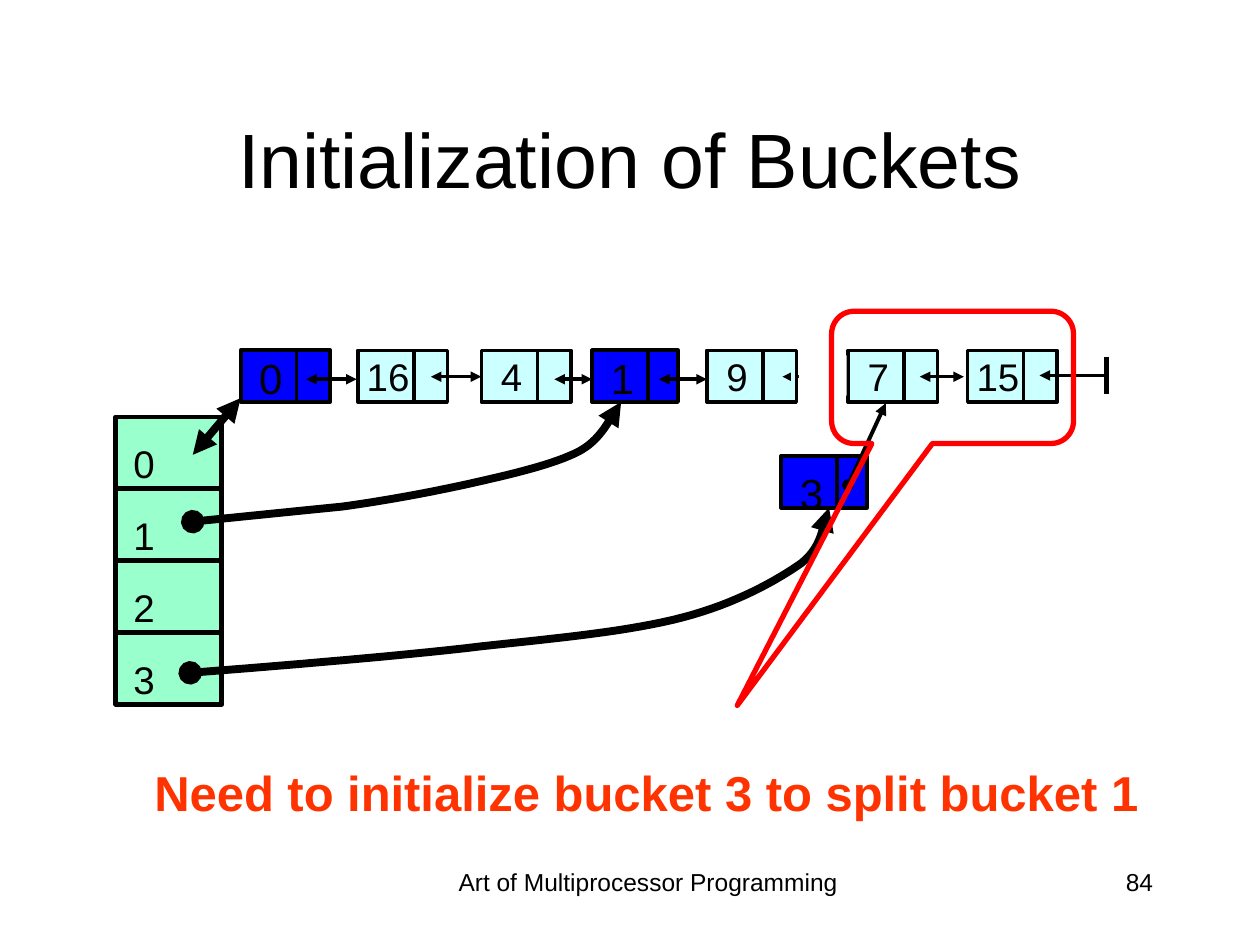
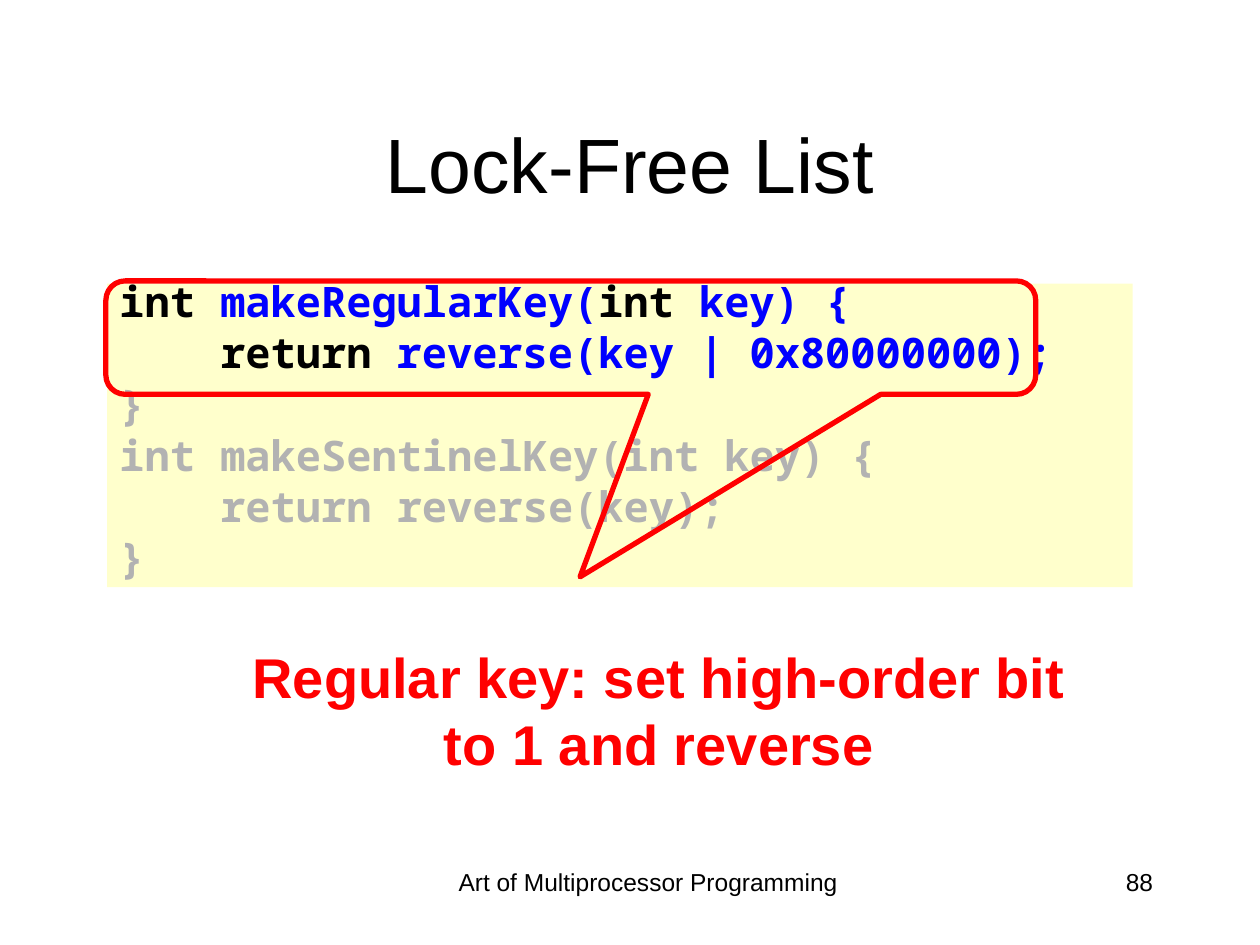
from collections import namedtuple
from dataclasses import dataclass

from lxml import etree
from pptx import Presentation
from pptx import util as u
from pptx.dml.color import RGBColor
from pptx.enum import shapes, text
from pptx.oxml.ns import qn


@dataclass(frozen=True)
class Theme:
    """Colours, fonts and type sizes shared by the slides."""
    black: str = "000000"
    white: str = "FFFFFF"
    bucket: str = "99FFCC"
    item: str = "CCFFFF"
    blue: str = "0000FF"
    red: str = "FF0000"
    orange: str = "FF3300"
    code_bg: str = "FFFFCC"
    faded: str = "B2B2B2"
    body: str = "Arial"
    mono: str = "Noto Sans Mono"
    title: int = 44
    caption: int = 32
    caption_small: int = 28
    code: int = 24
    sentinel: int = 24
    key: int = 22
    footer: int = 14


T = Theme()
COLS, ROWS = 100, 75
SLIDE_W, SLIDE_H = u.Inches(10), u.Inches(7.5)
CENTER, LEFT, RIGHT = text.PP_ALIGN.CENTER, text.PP_ALIGN.LEFT, text.PP_ALIGN.RIGHT
RECT = shapes.MSO_SHAPE.RECTANGLE
ROUND = shapes.MSO_SHAPE.ROUNDED_RECTANGLE
CALLOUT = shapes.MSO_SHAPE.ROUNDED_RECTANGULAR_CALLOUT


class Box(namedtuple("Box", "x y w h")):
    """A region in grid columns and rows."""

    def inner(self, dx, dy, w, h):
        """Return a box offset from this one's corner."""
        return Box(self.x + dx, self.y + dy, w, h)

    def point(self, dx, dy):
        """Return a grid point offset from this box's corner."""
        return self.x + dx, self.y + dy


def emu(x, y):
    """Convert grid columns and rows to slide lengths."""
    return u.Emu(round(x * SLIDE_W / COLS)), u.Emu(round(y * SLIDE_H / ROWS))


def place(box):
    """Return left, top, width and height of a box."""
    return *emu(box.x, box.y), *emu(box.w, box.h)


def style(p, size, color=T.black, bold=False, font=T.body):
    """Format every run of a paragraph."""
    for r in p.runs:
        r.font.size, r.font.name, r.font.bold = u.Pt(size), font, bold
        r.font.color.rgb = RGBColor.from_string(color)


def add_text(s, box, words, size, align=CENTER, color=T.black, bold=False,
             wrap=True, inset=0.1, spacing=1.0):
    """Add a text box holding one paragraph."""
    tf = s.shapes.add_textbox(*place(box)).text_frame
    tf.word_wrap = wrap
    tf.margin_left = tf.margin_right = u.Inches(inset)
    tf.margin_top = tf.margin_bottom = u.Inches(inset / 2)
    p = tf.paragraphs[0]
    p.text, p.alignment, p.line_spacing = words, align, spacing
    style(p, size, color, bold)


def stroke(sp, width, color=T.black):
    """Set the line of a shape or connector."""
    sp.line.width = u.Pt(width)
    sp.line.color.rgb = RGBColor.from_string(color)


def add_shape(s, box, kind, fill=None, width=None, color=T.black, adjust=()):
    """Add a flat preset shape."""
    sp = s.shapes.add_shape(kind, *place(box))
    sp.shadow.inherit = False
    for i, value in enumerate(adjust):
        sp.adjustments[i] = value
    if fill:
        sp.fill.solid()
        sp.fill.fore_color.rgb = RGBColor.from_string(fill)
    else:
        sp.fill.background()
    if width:
        stroke(sp, width, color)
    else:
        sp.line.fill.background()
    return sp


def add_ends(sp, head, tail):
    """Put arrowheads on the start and end of a stroked line."""
    ln = sp._element.spPr.find(qn("a:ln"))
    for tag, kind in (("a:headEnd", head), ("a:tailEnd", tail)):
        if kind:
            etree.SubElement(ln, qn(tag), type=kind)


def add_line(s, start, end, width=2, head=None, tail=None):
    """Add a straight connector between two grid points."""
    c = s.shapes.add_connector(shapes.MSO_CONNECTOR.STRAIGHT, *emu(*start), *emu(*end))
    stroke(c, width)
    add_ends(c, head, tail)
    etree.SubElement(c._element.spPr, qn("a:effectLst"))


def bezier(a, b, c, d, steps=16):
    """Sample a cubic curve after its first point."""
    for i in range(1, steps + 1):
        t = i / steps
        v = 1 - t
        yield tuple(v**3 * p + 3 * v * v * t * q + 3 * v * t * t * r + t**3 * z
                    for p, q, r, z in zip(a, b, c, d))


def add_curve(s, box, points):
    """Add a thick pointer through joined cubic curves."""
    points = [box.point(*pt) for pt in points]
    samples = [pt for i in range(0, len(points) - 1, 3) for pt in bezier(*points[i:i + 4])]
    fb = s.shapes.build_freeform(*emu(*points[0]))
    fb.add_line_segments([emu(*pt) for pt in samples], close=False)
    sp = fb.convert_to_shape()
    sp.shadow.inherit = False
    sp.fill.background()
    stroke(sp, 4.5)
    add_ends(sp, "oval", "triangle")


def add_node(s, box, key, sentinel=False, drop=0):
    """Draw a list node with its key and link field."""
    add_shape(s, box, ROUND, T.blue if sentinel else T.item, 2.25 if sentinel else 2, adjust=[0])
    add_line(s, box.point(4.45, 0.1), box.point(4.45, box.h))
    label = box.inner(-0.2, drop - 0.4 if sentinel else 0.2, 5.2, 4.6)
    add_text(s, label, key, T.sentinel if sentinel else T.key, wrap=False, inset=0,
             spacing=1.15 if sentinel else 1.0)


def add_chain(s, box):
    """Draw the linked list with a broken link before key 7."""
    nodes = [("0", 0), ("16", 9.3), ("4", 19.1), ("1", 27.9), ("9", 37), ("7", 48.2), ("15", 57.7)]
    links = [(5.2, 9.2, 2.3), (15.1, 19.1, 2.1), (24.9, 27.9, 2.3), (33.2, 37, 2.3),
             (43, 48.2, 2.1), (53.9, 57.4, 2.1)]
    for key, x in nodes:
        sentinel = key in "01"
        add_node(s, box.inner(x, 0, 6.8 if key == "1" else 7.1, box.h), key, sentinel)
    for x1, x2, y in links:
        add_line(s, box.point(x1, y), box.point(x2, y), head="triangle", tail="triangle")
    add_line(s, box.point(63.4, 2), box.point(box.w, 2), head="triangle")
    add_line(s, box.point(box.w, 0.5), box.point(box.w, 3.5), 2.83)
    add_shape(s, box.inner(44.3, 0.4, 3.8, 3.2), RECT, T.white)
    add_shape(s, box.inner(43.7, 0.4, 0.3, 3), RECT, T.item)


def add_buckets(s, box, count=4):
    """Draw the bucket array and its pointers into the list."""
    h = box.h / count
    for i in range(count):
        cell = box.inner(0, i * h, box.w, h)
        add_shape(s, cell, ROUND, T.bucket, 2.83, adjust=[0])
        add_text(s, cell.inner(1.4, 1.3, 1.7, 4.2), str(i), T.key, LEFT,
                 wrap=False, inset=0, spacing=1.15)
    add_curve(s, box, [(6.1, 8.3), (10.1, 7.9), (14, 7.5), (18, 7.1),
                       (21.6, 6.6), (24.8, 6), (28, 5.3),
                       (31.1, 4.6), (34.7, 3.8), (36.8, 2.7),
                       (38.8, 1.6), (39.4, -0.4), (40.1, -1.2)])
    add_curve(s, box, [(5.9, 20.3), (9.8, 20), (22.5, 19), (29, 18.2),
                       (35.5, 17.5), (40.8, 17), (45, 15.9),
                       (49.2, 14.8), (52.4, 13), (54.4, 11.6),
                       (56.3, 10.1), (56.1, 8.1), (56.6, 7.2)])
    add_line(s, box.point(6.1, 3), box.point(9.9, -1.5), 4.5, "triangle", "triangle")


def add_new_sentinel(s, box):
    """Draw the sentinel for bucket 3 pointing at key 7."""
    add_node(s, box, "3", sentinel=True, drop=0.7)
    add_line(s, box.point(5.3, 2.3), box.point(8.3, -4.2), 2.25, "oval", "triangle")


def add_callout(s, box, tip_x, tip_y):
    """Outline a region in red with a pointing wedge."""
    add_shape(s, box, CALLOUT, width=3, color=T.red, adjust=[tip_x, tip_y, 0.17])


def add_code(s, box, lines):
    """Show coloured code lines on a pale panel."""
    tf = add_shape(s, box, RECT, T.code_bg).text_frame
    tf.word_wrap = True
    tf.vertical_anchor = text.MSO_ANCHOR.TOP
    for i, line in enumerate(lines):
        p = tf.add_paragraph() if i else tf.paragraphs[0]
        p.alignment, p.line_spacing = LEFT, 0.7
        p.space_before = u.Pt(9 if i else 0)
        for words, color in line:
            r = p.add_run()
            r.text = words
            r.font.size, r.font.name, r.font.bold = u.Pt(T.code), T.mono, True
            r.font.color.rgb = RGBColor.from_string(color)


def new_slide(prs, title, box, number):
    """Add a slide with its title, footer and number."""
    s = prs.slides.add_slide(prs.slide_layouts[5])
    sp = s.shapes.title
    sp.left, sp.top, sp.width, sp.height = place(box)
    tf = sp.text_frame
    tf.text = title
    tf.vertical_anchor = text.MSO_ANCHOR.MIDDLE
    tf.paragraphs[0].alignment = CENTER
    style(tf.paragraphs[0], T.title)
    add_text(s, Box(34.2, 68.3, 34.5, 5), "Art of Multiprocessor Programming", T.footer)
    add_text(s, Box(71.7, 68.3, 20.8, 5), str(number), T.footer, RIGHT)
    return s


def buckets_slide(prs):
    """Build the bucket initialization diagram."""
    s = new_slide(prs, "Initialization of Buckets", Box(7.5, 8.9, 85, 7.2), 84)
    add_chain(s, Box(19.1, 27.8, 68.7, 4.1))
    add_buckets(s, Box(9.2, 33.1, 8.4, 22.8))
    add_new_sentinel(s, Box(62, 36.2, 6.8, 4.1))
    add_text(s, Box(7.2, 60, 88.2, 5.6), "Need to initialize bucket 3 to split bucket 1",
             T.caption_small, color=T.orange, bold=True)
    add_callout(s, Box(66, 24.7, 19.2, 10.5), -0.89, 2.48)


def code_slide(prs):
    """Build the key-making code slide."""
    s = new_slide(prs, "Lock-Free List", Box(7.5, 6.7, 85, 12.5), 88)
    add_code(s, Box(8.5, 22.5, 81.4, 24.1), [
        [("int", T.black), (" makeRegularKey(", T.blue), ("int", T.black), (" key) {", T.blue)],
        [("    ", T.blue), ("return", T.black), (" reverse(key | 0x80000000);", T.blue)],
        [("}", T.faded)],
        [("int makeSentinelKey(int key) {", T.faded)],
        [("    return reverse(key);", T.faded)],
        [("}", T.faded)],
    ])
    add_text(s, Box(16.9, 50.5, 70.8, 11.7), "Regular key: set high-order bit to 1 and reverse",
             T.caption, color=T.red, bold=True)
    add_callout(s, Box(8.4, 22.3, 73.8, 9), 0.01, 2.11)


def main():
    """Build and save the presentation."""
    prs = Presentation()
    prs.slide_width, prs.slide_height = SLIDE_W, SLIDE_H
    buckets_slide(prs)
    code_slide(prs)
    prs.save("out.pptx")


if __name__ == "__main__":
    main()
